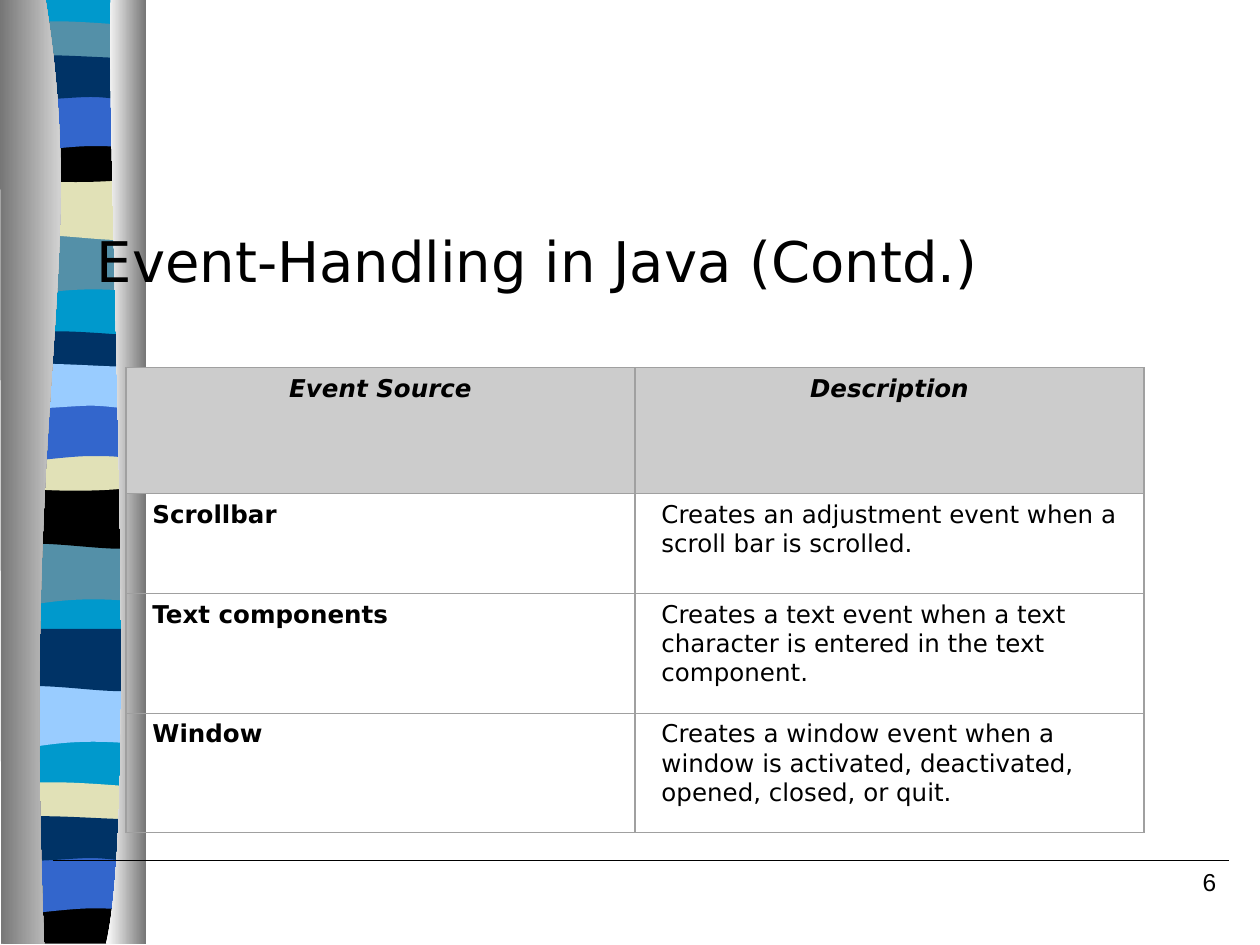
import pptx
import pptx.dml.color
import pptx.enum.shapes
import pptx.enum.text
import pptx.oxml
import pptx.oxml.ns
import pptx.util
from lxml import etree

Inches, Pt = pptx.util.Inches, pptx.util.Pt
ALIGN = pptx.enum.text.PP_ALIGN
qn = pptx.oxml.ns.qn

TITLE = "Event-Handling in Java (Contd.)"
PAGE_NUMBER = "6"
TABLE = [
    ("Event Source", "Description"),
    ("Scrollbar", "Creates an adjustment event when a scroll bar is scrolled."),
    ("Text components",
     "Creates a text event when a text character is entered in the text component."),
    ("Window",
     "Creates a window event when a window is activated, deactivated, opened, closed, or quit."),
]
ROW_HEIGHTS = [1, 0.79, 0.95, 0.95]
COLUMN_WIDTH = 4.04

SKY, TEAL, NAVY, BLUE = "0099CC", "5490A8", "003366", "3366CC"
PALE, SAND, BLACK, GREY, WHITE = "99CCFF", "E1E1B7", "000000", "767676", "FFFFFF"

# Outlines: a start point, then steps of 2 numbers (line) or 6 (Bezier curve).
OUTLINES = {
    "strip": [(1.08, 0), (1.08, 7.47), (0, 7.47), (0, 0)],
    "wave": [(1.08, 0), (1.08, 0.47), (0.33, 0.39, 0.18, 0.55, 0, 0.47), (0, 0)],
    "swell": [(1.08, 0), (1.08, 0.47), (0.9, 0.55, 0.33, 0.41, 0, 0.47), (0, 0)],
    "crest": [(1.08, 0.05), (1.08, 0.29), (0.9, 0.33, 0.18, 0.33, 0, 0.29), (0, 0.05),
              (0.06, 0, 0.23, 0.01, 0.41, 0.01), (0.59, 0.01, 0.94, 0.04, 1.08, 0.05)],
    "bowl": [(1.08, 0), (1.08, 0.32), (0.9, 0.38, 0.18, 0.38, 0, 0.32), (0, 0),
             (0.66, 0.05, 0.85, 0, 1.08, 0)],
    "arch": [(1.08, 0), (1.08, 0.47), (0.91, 0.42, 0.84, 0.42, 0.66, 0.42),
             (0.48, 0.42, 0.16, 0.47, 0, 0.47), (0, 0)],
    "ripple": [(1.08, 0.05), (1.08, 0.36), (1.01, 0.41, 0.84, 0.36, 0.66, 0.36),
               (0.48, 0.36, 0.11, 0.41, 0, 0.36), (0, 0.05),
               (0.15, 0, 0.73, 0.05, 0.91, 0.05), (1.09, 0.05, 1.04, 0.05, 1.08, 0.05)],
    "foot": [(1.08, 0), (1.08, 0.37), (0, 0.37), (0, 0), (0.66, 0.05, 0.85, 0, 1.08, 0)],
    "left edge": [(0.36, 0), (0.71, 2.17, 0.17, 2.97, 0.35, 7.5), (0.01, 7.5), (0, 0)],
    "right edge": [(0.88, 0), (0.84, 1.26, 1.11, 6.47, 0.84, 7.5), (1.16, 7.5), (1.16, 0.01)],
}
BAND_LEFT = 0.06
TOP = -0.01
BANDS = [  # outline, top, colour; from back to front
    ("strip", TOP, SKY),
    ("wave", 1.85, TEAL), ("swell", 1.41, SAND), ("crest", 0.16, TEAL),
    ("bowl", 1.08, BLACK), ("arch", 0.74, BLUE), ("ripple", 0.41, NAVY),
    ("wave", 4.31, TEAL), ("swell", 3.86, BLACK), ("crest", 2.62, NAVY),
    ("bowl", 3.53, SAND), ("arch", 3.2, BLUE), ("ripple", 2.86, PALE),
    ("wave", 5.44, PALE), ("swell", 4.99, NAVY), ("crest", 6.2, SAND),
    ("foot", 7.12, BLACK), ("arch", 6.79, BLUE), ("ripple", 6.45, NAVY),
]
EDGES = [("left edge", GREY, WHITE), ("right edge", WHITE, GREY)]


def rgb(value):
    return pptx.dml.color.RGBColor.from_string(value)


def add_outline(slide, name, left, top):
    """Draw an outline through all its points, then join curve points into curves."""
    steps = OUTLINES[name]
    points = [((left + step[i]) * 1000, (top + step[i + 1]) * 1000)
              for step in steps for i in range(0, len(step), 2)]
    builder = slide.shapes.build_freeform(*points[0], scale=Inches(1) / 1000)
    builder.add_line_segments(points[1:], close=True)
    shape = builder.convert_to_shape()
    segments = iter(list(shape._element.iter(qn("a:lnTo"))))
    for step in steps[1:]:
        segment = next(segments)
        if len(step) == 6:
            segment.addprevious(curve := etree.Element(qn("a:cubicBezTo")))
            for part in (segment, next(segments), next(segments)):
                curve.append(part[0])
                part.getparent().remove(part)
    shape.shadow.inherit = False
    shape.line.fill.background()
    return shape


def style(paragraph, size, font="DejaVu Sans", bold=False, italic=False, align=ALIGN.LEFT):
    paragraph.alignment = align
    paragraph.font.size = Pt(size)
    paragraph.font.name = font
    paragraph.font.bold = bold
    paragraph.font.italic = italic
    paragraph.font.color.rgb = rgb(BLACK)


def add_text(slide, text, left, top, width, height, size, **options):
    frame = slide.shapes.add_textbox(*map(Inches, (left, top, width, height))).text_frame
    frame.word_wrap = True
    frame.text = text
    style(frame.paragraphs[0], size, **options)


def set_borders(cell, color, width):
    properties = cell._tc.get_or_add_tcPr()
    for index, side in enumerate(("lnL", "lnR", "lnT", "lnB")):
        properties.insert(index, pptx.oxml.parse_xml(
            f'<a:{side} {pptx.oxml.ns.nsdecls("a")} w="{Pt(width)}"><a:solidFill>'
            f'<a:srgbClr val="{color}"/></a:solidFill></a:{side}>'))


def add_event_table(slide):
    table = slide.shapes.add_table(
        len(TABLE), 2, Inches(1), Inches(2.92),
        Inches(2 * COLUMN_WIDTH), Inches(sum(ROW_HEIGHTS))).table
    for column in table.columns:
        column.width = Inches(COLUMN_WIDTH)
    for r, (texts, height) in enumerate(zip(TABLE, ROW_HEIGHTS)):
        table.rows[r].height = Inches(height)
        header = r == 0
        for c, text in enumerate(texts):
            cell = table.cell(r, c)
            cell.text = text
            cell.margin_left = cell.margin_right = Inches(0.21)
            paragraph = cell.text_frame.paragraphs[0]
            paragraph.line_spacing = 1.02
            style(paragraph, 14, bold=header or c == 0, italic=header,
                  align=ALIGN.CENTER if header else ALIGN.LEFT)
            if header:
                cell.fill.solid()
                cell.fill.fore_color.rgb = rgb("CCCCCC")
            else:
                cell.fill.background()
            set_borders(cell, "A0A0A0", 0.75)


def main():
    presentation = pptx.Presentation()
    presentation.slide_width, presentation.slide_height = Inches(10), Inches(7.5)
    slide = presentation.slides.add_slide(presentation.slide_layouts[6])

    for name, top, color in BANDS:
        band = add_outline(slide, name, BAND_LEFT, top)
        band.fill.solid()
        band.fill.fore_color.rgb = rgb(color)
    for name, *colors in EDGES:
        edge = add_outline(slide, name, 0, TOP)
        edge.fill.gradient()
        edge.fill.gradient_angle = 0
        for stop, color in zip(edge.fill.gradient_stops, colors):
            stop.color.rgb = rgb(color)

    add_text(slide, TITLE, 0.67, 1.75, 9, 1.33, 32)

    rule = slide.shapes.add_connector(
        pptx.enum.shapes.MSO_CONNECTOR.STRAIGHT,
        Inches(0.42), Inches(6.83), Inches(9.75), Inches(6.83))
    rule.line.color.rgb = rgb(BLACK)
    rule.line.width = Pt(0.75)
    etree.SubElement(rule._element.spPr, qn("a:effectLst"))

    add_event_table(slide)
    add_text(slide, PAGE_NUMBER, 7.67, 6.83, 2.08, 0.5, 14, font="Arial", align=ALIGN.RIGHT)
    presentation.save("out.pptx")


if __name__ == "__main__":
    main()
